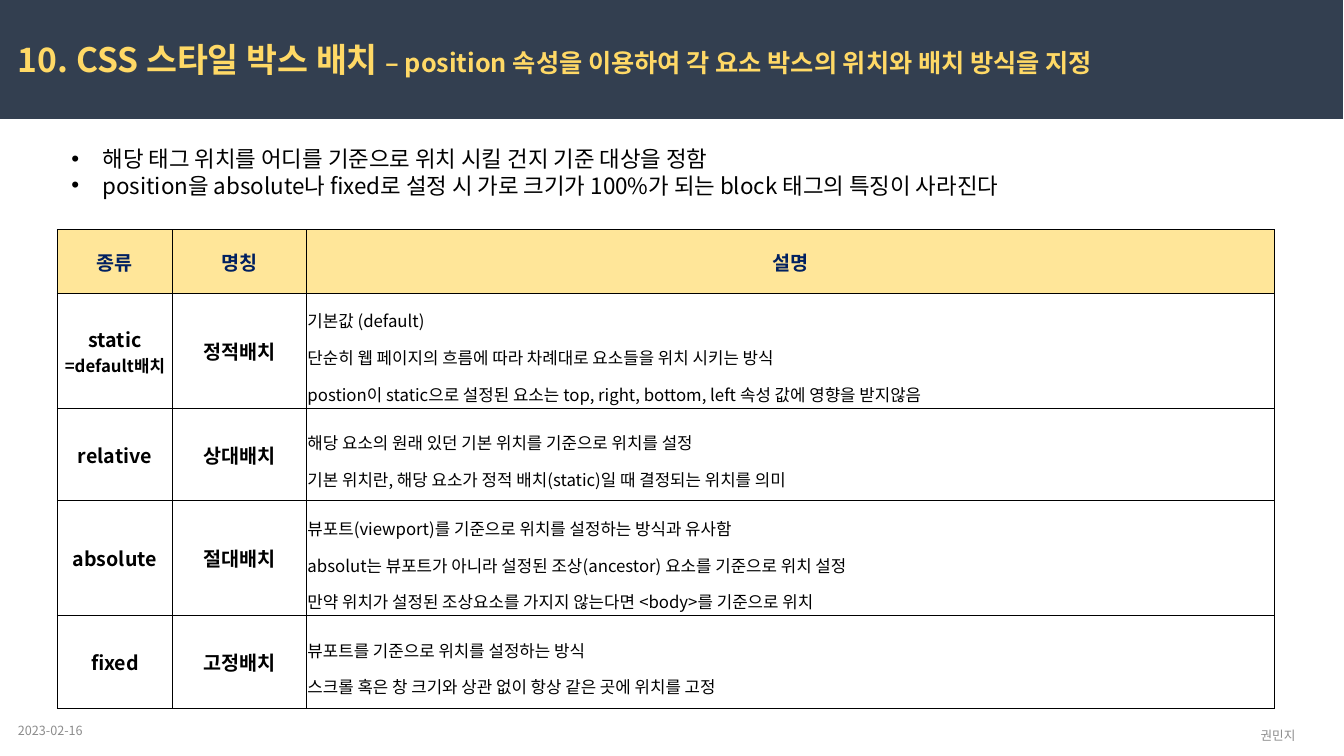
from lxml.etree import SubElement
from pptx import Presentation
from pptx.dml.color import RGBColor
from pptx.enum.shapes import MSO_SHAPE
from pptx.enum.text import MSO_ANCHOR, MSO_AUTO_SIZE, PP_ALIGN
from pptx.oxml import parse_xml
from pptx.oxml.ns import nsdecls, qn
from pptx.util import Inches, Pt

COLORS = {
    "banner": "333F50", "title": "FFD966", "header": "FFE699",
    "heading": "002060", "ink": "000000", "muted": "8C8C8C",
}
FONT = "Noto Sans CJK KR"
TITLE = [
    ("10. CSS 스타일 박스 배치 ", 24),
    ("– position 속성을 이용하여 각 요소 박스의 위치와 배치 방식을 지정", 18),
]
BULLETS = [
    "해당 태그 위치를 어디를 기준으로 위치 시킬 건지 기준 대상을 정함",
    "position을 absolute나 fixed로 설정 시 가로 크기가 100%가 되는 block 태그의 특징이 사라진다",
]
HEADINGS = ["종류", "명칭", "설명"]
POSITIONS = [
    (["static", "=default배치"], "정적배치", [
        "기본값 (default)",
        "단순히 웹 페이지의 흐름에 따라 차례대로 요소들을 위치 시키는 방식",
        "postion이 static으로 설정된 요소는 top, right, bottom, left 속성 값에 영향을 받지않음",
    ]),
    (["relative"], "상대배치", [
        "해당 요소의 원래 있던 기본 위치를 기준으로 위치를 설정",
        "기본 위치란, 해당 요소가 정적 배치(static)일 때 결정되는 위치를 의미",
    ]),
    (["absolute"], "절대배치", [
        "뷰포트(viewport)를 기준으로 위치를 설정하는 방식과 유사함",
        "absolut는 뷰포트가 아니라 설정된 조상(ancestor) 요소를 기준으로 위치 설정",
        "만약 위치가 설정된 조상요소를 가지지 않는다면 <body>를 기준으로 위치",
    ]),
    (["fixed"], "고정배치", [
        "뷰포트를 기준으로 위치를 설정하는 방식",
        "스크롤 혹은 창 크기와 상관 없이 항상 같은 곳에 위치를 고정",
    ]),
]
COLUMN_WIDTHS = [1.14, 1.33, 9.6]
HEADER_HEIGHT = 0.63
ROW_HEIGHTS = {2: 0.92, 3: 1.14}


def color(name):
    """Return the named colour."""
    return RGBColor.from_string(COLORS[name])


def style(span, size, ink, bold=False, latin=FONT):
    """Set the size, colour, weight and typefaces of a run."""
    span.font.size = Pt(size)
    span.font.bold = bold
    span.font.color.rgb = color(ink)
    span.font.name = latin
    SubElement(span.font._element, qn("a:ea"), typeface=FONT)


def add_text_box(page, box, wrap=True):
    """Add an empty text box and return its text frame."""
    frame = page.shapes.add_textbox(*map(Inches, box)).text_frame
    frame.word_wrap = wrap
    return frame


def add_title(page, box):
    """Fill the box with the banner and set the two-size title on it."""
    left, top, width, height = box
    banner = page.shapes.add_shape(MSO_SHAPE.RECTANGLE, *map(Inches, box))
    banner.shadow.inherit = False
    banner.fill.solid()
    banner.fill.fore_color.rgb = color("banner")
    banner.line.fill.background()
    frame = add_text_box(page, (left + 0.08, top + 0.34, width - 0.27, 0.5))
    for text, size in TITLE:
        span = frame.paragraphs[0].add_run()
        span.text = text
        style(span, size, "title", bold=True)


def add_bullets(page, box):
    """Add the bulleted introduction."""
    frame = add_text_box(page, box, wrap=False)
    frame.auto_size = MSO_AUTO_SIZE.SHAPE_TO_FIT_TEXT
    frame.text = "\n".join(BULLETS)
    for para in frame.paragraphs:
        style(para.runs[0], 16, "ink")
        properties = para._p.get_or_add_pPr()
        properties.set("marL", str(Inches(0.31)))
        properties.set("indent", str(Inches(-0.31)))
        SubElement(properties, qn("a:buFont"), typeface="Arial")
        SubElement(properties, qn("a:buChar"), char="•")


def add_borders(cell):
    """Draw a thin line on every side of a cell."""
    properties = cell._tc.get_or_add_tcPr()
    for index, side in enumerate("LRTB"):
        properties.insert(index, parse_xml(
            f'<a:ln{side} {nsdecls("a")} w="{Pt(1)}"><a:solidFill>'
            f'<a:srgbClr val="{COLORS["ink"]}"/></a:solidFill></a:ln{side}>'))


def fill_cell(cell, lines, sizes, ink="ink", described=False, latin=FONT, fill=None):
    """Write the lines of a cell, centred unless it holds a description."""
    cell.vertical_anchor = MSO_ANCHOR.MIDDLE
    cell.margin_left = cell.margin_right = Inches(0.01)
    cell.margin_top = cell.margin_bottom = Inches(0.03)
    if fill:
        cell.fill.solid()
        cell.fill.fore_color.rgb = color(fill)
    else:
        cell.fill.background()
    add_borders(cell)
    cell.text_frame.text = "\n".join(lines)
    for para, size in zip(cell.text_frame.paragraphs, sizes):
        if described:
            para.line_spacing = 1.5
        else:
            para.alignment = PP_ALIGN.CENTER
        style(para.runs[0], size, ink, bold=not described, latin=latin)


def add_position_table(page, box):
    """Add the table of position values."""
    shape = page.shapes.add_table(len(POSITIONS) + 1, len(HEADINGS), *map(Inches, box))
    table = shape.table
    table.horz_banding = table.first_row = False
    for column, width in zip(table.columns, COLUMN_WIDTHS):
        column.width = Inches(width)
    table.rows[0].height = Inches(HEADER_HEIGHT)
    for index, heading in enumerate(HEADINGS):
        fill_cell(table.cell(0, index), [heading], [14], ink="heading",
                  latin=FONT if index else "Arial", fill="header")
    for index, (kind, name, description) in enumerate(POSITIONS, start=1):
        table.rows[index].height = Inches(ROW_HEIGHTS[len(description)])
        fill_cell(table.cell(index, 0), kind, [14, 12])
        fill_cell(table.cell(index, 1), [name], [14])
        fill_cell(table.cell(index, 2), description, [12] * len(description), described=True)


def add_footer(page, box, text, alignment):
    """Add one small grey footer text."""
    frame = add_text_box(page, box)
    frame.vertical_anchor = MSO_ANCHOR.MIDDLE
    frame.text = text
    frame.paragraphs[0].alignment = alignment
    style(frame.paragraphs[0].runs[0], 9, "muted")


def main():
    """Build the slide and save the deck."""
    deck = Presentation()
    deck.slide_width, deck.slide_height = Inches(13.33), Inches(7.5)
    page = deck.slides.add_slide(deck.slide_layouts[6])
    add_title(page, (0, 0, 13.32, 1.18))
    add_footer(page, (0.08, 7.05, 3, 0.4), "2023-02-16", PP_ALIGN.LEFT)
    add_footer(page, (12.03, 7.1, 1.29, 0.4), "권민지", PP_ALIGN.CENTER)
    add_position_table(page, (0.57, 2.28, 12.07, 4.74))
    add_bullets(page, (0.61, 1.39, 10.13, 0.64))
    deck.save("out.pptx")


if __name__ == "__main__":
    main()
